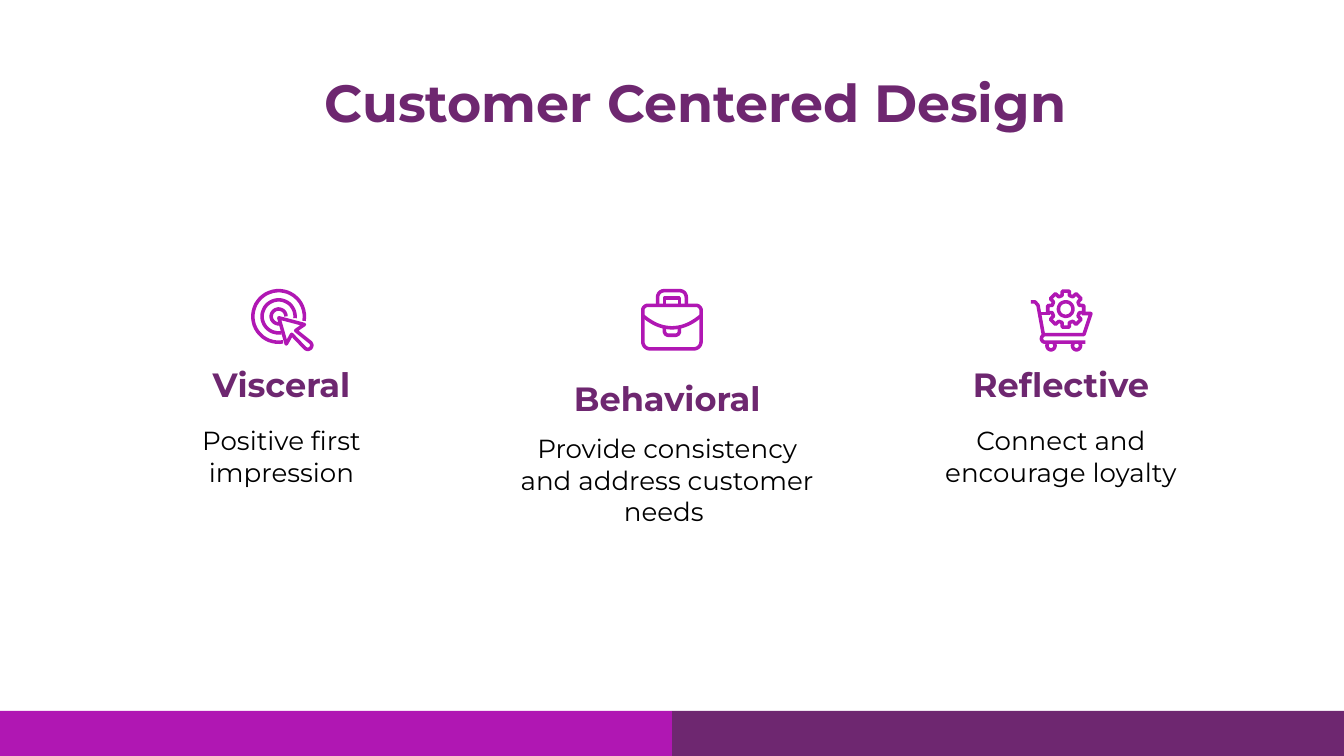
from dataclasses import dataclass
from math import cos, radians, sin

from pptx import Presentation
from pptx import util as u
from pptx.dml import color
from pptx.enum import shapes, text


@dataclass(frozen=True)
class Theme:
    """Colours, font and type sizes of the slide."""
    plum: str = "6E2770"
    pink: str = "B017B3"
    ink: str = "000000"
    font: str = "Montserrat"
    title: int = 28
    head: int = 18
    body: int = 14
    line: float = 1.9


THEME = Theme()
ITEMS = [
    ("Visceral", "Positive first impression", 0.86, 2.61, 3.06),
    ("Behavioral", "Provide consistency and address customer needs ", 3.73, 2.71, 3.12),
    ("Reflective", "Connect and encourage loyalty", 6.66, 2.61, 3.06),
]


def rgb(code):
    """Return a colour from its hex code."""
    return color.RGBColor.from_string(code)


def place(shape, left, top, width, height):
    """Set the position and size of a shape in inches."""
    shape.left, shape.top = u.Inches(left), u.Inches(top)
    shape.width, shape.height = u.Inches(width), u.Inches(height)


def write(shape, words, size, tint, bold=False, after=0):
    """Fill a shape with one centred paragraph."""
    frame = shape.text_frame
    frame.text = words
    frame.word_wrap = True
    frame.auto_size = text.MSO_AUTO_SIZE.NONE
    frame.vertical_anchor = text.MSO_ANCHOR.TOP
    frame.margin_left = frame.margin_right = u.Inches(0.1)
    frame.margin_top = frame.margin_bottom = u.Inches(0.1)
    para = frame.paragraphs[0]
    para.alignment = text.PP_ALIGN.CENTER
    para.space_before, para.space_after = u.Pt(0), u.Pt(after)
    para.line_spacing = 1.0
    for run in para.runs:
        font = run.font
        font.name, font.size, font.bold = THEME.font, u.Pt(size), bold
        font.color.rgb = rgb(tint)


def add_text(slide, words, box, size, tint, bold=False):
    """Add a centred text box."""
    shape = slide.shapes.add_textbox(*map(u.Inches, box))
    write(shape, words, size, tint, bold, after=16)


def add_bar(slide, left, tint):
    """Add one half of the footer band."""
    box = map(u.Inches, (left, 5.29, 5, 0.34))
    bar = slide.shapes.add_shape(shapes.MSO_SHAPE.RECTANGLE, *box)
    bar.shadow.inherit = False
    bar.fill.solid()
    bar.fill.fore_color.rgb = rgb(tint)
    bar.line.fill.background()


def arc(mid_x, mid_y, size, start=0, end=360):
    """Return points along a circular arc, clockwise in degrees."""
    steps = max(6, round(abs(end - start) / 8))
    turns = [radians(start + (end - start) * i / steps) for i in range(steps + 1)]
    return [(mid_x + size * cos(t), mid_y + size * sin(t)) for t in turns]


def add_icon(slide, left, top, paths):
    """Draw (points, closed) outlines, given in hundredths of an inch, as one shape."""
    build = None
    for points, closed in paths:
        spots = [((left * 100 + x) * 10, (top * 100 + y) * 10) for x, y in points]
        if build is None:
            build = slide.shapes.build_freeform(*spots[0], scale=u.Inches(1) / 1000)
        else:
            build.move_to(*spots[0])
        build.add_line_segments(spots[1:], close=closed)
    icon = build.convert_to_shape()
    icon.shadow.inherit = False
    icon.fill.background()
    icon.line.color.rgb = rgb(THEME.pink)
    icon.line.width = u.Pt(THEME.line)


def add_target(slide, left, top):
    """Draw the target with a pointer."""
    rings = [(arc(20.3, 20.5, size, 80, 360 + end), False)
             for size, end in ((19.2, 10), (12.3, 6), (5.5, 0))]
    arrow = [(20.5, 21.5), (39.5, 26.5), (33, 31), *arc(42, 42, 3, -45, 135),
             (30, 33.8), (26, 41)]
    add_icon(slide, left, top, rings + [(arrow, True)])


def add_case(slide, left, top):
    """Draw the briefcase."""
    body = [*arc(5, 16, 3.7, 180, 270), *arc(41, 16, 3.7, 270, 360),
            *arc(39.2, 39.2, 5.5, 0, 90), *arc(6.8, 39.2, 5.5, 90, 180)]
    grip = [(12.3, 12.3), *arc(17.3, 6.3, 5, 180, 270),
            *arc(28.7, 6.3, 5, 270, 360), (33.7, 12.3)]
    slot = [(17.5, 12.3), (17.5, 7), (28.5, 7), (28.5, 12.3)]
    flap = [(23 + 21.7 * i / 10, 29 - 9 * (i / 10) ** 2) for i in range(-10, 11)]
    clasp = [(17.4, 28.5), *arc(20.4, 31.5, 3, 180, 90),
             *arc(25.6, 31.5, 3, 90, 0), (28.6, 28.5)]
    add_icon(slide, left, top, [(body, True)] + [(p, False) for p in (grip, slot, flap, clasp)])


def add_cart(slide, left, top):
    """Draw the cart that holds a gear."""
    teeth = [arc(26, 15, size, 45 * i + turn, 45 * i + turn)[0]
             for i in range(8)
             for turn, size in ((-15, 10.5), (-11, 13.7), (11, 13.7), (15, 10.5))]
    frame = [(0, 9.6), (3, 9.6), (5.3, 12), (9.3, 34), (39.5, 34), (44.7, 18.3), (38, 18.3)]
    rail = [(9.5, 34), *arc(10.5, 37, 2.6, 225, 90), (40.5, 39.6)]
    wheels = [(arc(x, 42.3, 3, -45, 225), False) for x in (15, 34)]
    side = [(6.5, 18.3), (14, 18.3)]
    add_icon(slide, left, top, [(teeth, True), *((p, False) for p in (frame, rail, side)), *wheels])
    add_icon(slide, left, top, [(arc(26, 15, 5.4), True)])


def main():
    """Build and save the slide."""
    deck = Presentation()
    deck.slide_width, deck.slide_height = u.Inches(10), u.Inches(5.625)
    slide = deck.slides.add_slide(deck.slide_layouts[5])
    add_bar(slide, 5, THEME.plum)
    add_bar(slide, 0, THEME.pink)
    title = slide.shapes.title
    place(title, 0.84, 0.42, 8.78, 0.63)
    write(title, "Customer Centered Design ", THEME.title, THEME.plum, bold=True)
    for head, body, left, high, low in ITEMS:
        add_text(slide, head, (left, high, 2.47, 0.45), THEME.head, THEME.plum, bold=True)
        add_text(slide, body, (left, low, 2.47, 0.79), THEME.body, THEME.ink)
    for draw, left in ((add_case, 4.77), (add_target, 1.87), (add_cart, 7.67)):
        draw(slide, left, 2.15)
    deck.save("out.pptx")


if __name__ == "__main__":
    main()
